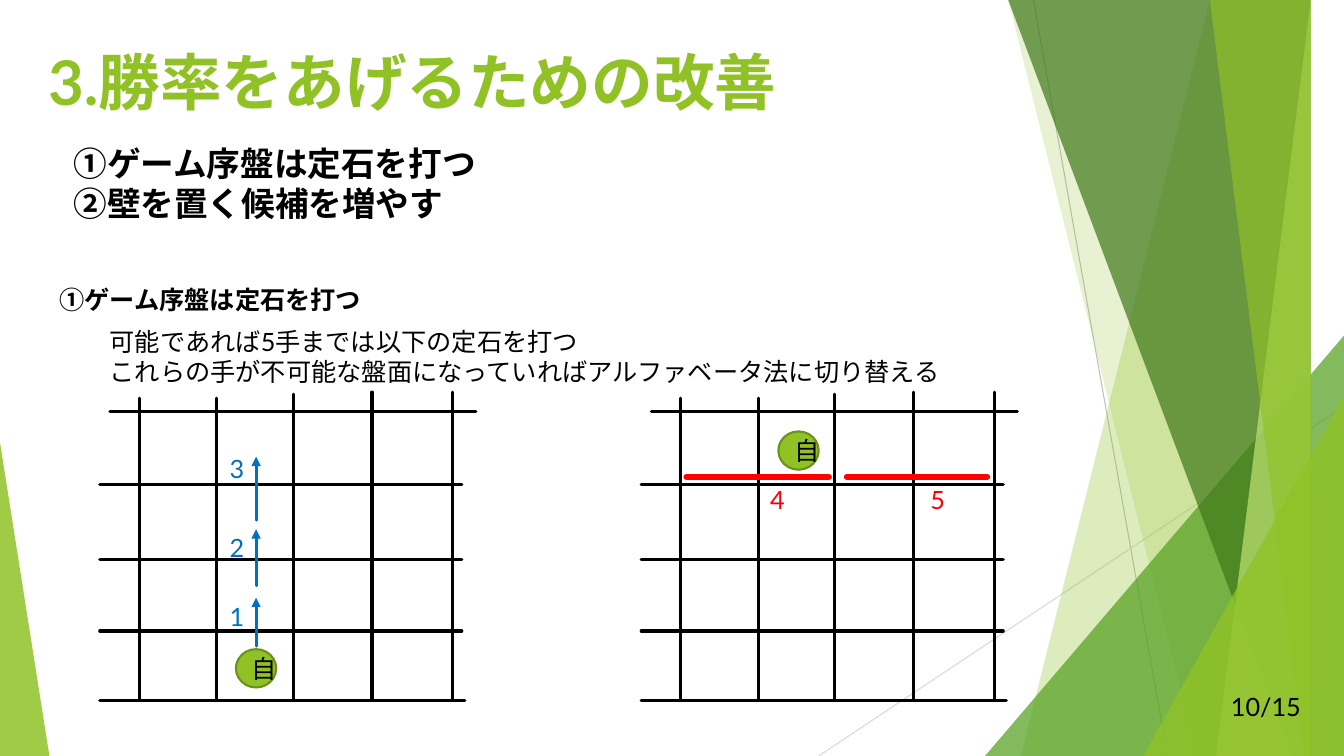
import lxml.etree
import pptx
import pptx.dml.color
import pptx.enum.lang
import pptx.enum.shapes
import pptx.enum.text
import pptx.oxml.ns
import pptx.util

Inches = pptx.util.Inches
RGBColor = pptx.dml.color.RGBColor
Shapes = pptx.enum.shapes.MSO_SHAPE
Align = pptx.enum.text.PP_ALIGN
Anchor = pptx.enum.text.MSO_ANCHOR
AutoSize = pptx.enum.text.MSO_AUTO_SIZE
qn = pptx.oxml.ns.qn

BLACK = RGBColor(0x00, 0x00, 0x00)
LIME = RGBColor(0x90, 0xC2, 0x26)
GREEN = RGBColor(0x54, 0xA0, 0x21)
DARK_GREEN = RGBColor(0x3F, 0x78, 0x19)
PALE_GREEN = RGBColor(0xC0, 0xE4, 0x74)
OLIVE = RGBColor(0x6B, 0x90, 0x1C)
RED = RGBColor(0xFF, 0x00, 0x00)
BLUE = RGBColor(0x00, 0x70, 0xC0)
GRAY = RGBColor(0xBF, 0xBF, 0xBF)
LIGHT_GRAY = RGBColor(0xD9, 0xD9, 0xD9)

WIDTH, HEIGHT = 13.33, 7.5
BOARD_TOP = 3.89


def write_text(shape, lines, size=18, color=BLACK, bold=False,
               align=None, space_before=None):
    font_values = {
        "name": "Lato",
        "size": pptx.util.Pt(size),
        "bold": bold,
        "language_id": pptx.enum.lang.MSO_LANGUAGE_ID.JAPANESE,
    }
    frame = shape.text_frame
    for index, line in enumerate(lines):
        paragraph = frame.add_paragraph() if index else frame.paragraphs[0]
        paragraph.alignment = align
        paragraph.space_before = space_before
        run = paragraph.add_run()
        run.text = line
        for name, value in font_values.items():
            setattr(run.font, name, value)
        run.font.color.rgb = color


def add_text(slide, box, lines, anchor=Anchor.TOP, auto_size=AutoSize.SHAPE_TO_FIT_TEXT,
             **text_format):
    shape = slide.shapes.add_textbox(*map(Inches, box))
    frame_values = {"word_wrap": True, "auto_size": auto_size, "vertical_anchor": anchor}
    for name, value in frame_values.items():
        setattr(shape.text_frame, name, value)
    write_text(shape, lines, **text_format)


def add_line(slide, start, end, color, width, arrow=False):
    line = slide.shapes.add_connector(
        pptx.enum.shapes.MSO_CONNECTOR.STRAIGHT, *map(Inches, (*start, *end)))
    line.line.color.rgb = color
    line.line.width = pptx.util.Pt(width)
    outline = line.line._get_or_add_ln()
    outline.set("cap", "rnd")
    if arrow:
        lxml.etree.SubElement(outline, qn("a:tailEnd"), type="triangle")
    lxml.etree.SubElement(line._element.spPr, qn("a:effectLst"))


def paint_facet(shape, color, opacity):
    shape.shadow.inherit = False
    shape.fill.solid()
    shape.fill.fore_color.rgb = color
    shape.line.fill.background()
    color_element = shape._element.spPr.find(".//" + qn("a:srgbClr"))
    lxml.etree.SubElement(color_element, qn("a:alpha"), val=str(opacity * 1000))


def add_band(slide, top_left, bottom_left, color, opacity):
    builder = slide.shapes.build_freeform(top_left, -0.01, scale=Inches(1))
    builder.add_line_segments(
        [(WIDTH, -0.01), (WIDTH, HEIGHT), (bottom_left, HEIGHT)], close=True)
    paint_facet(builder.convert_to_shape(), color, opacity)


def add_corner(slide, box, apex, color, opacity):
    triangle = slide.shapes.add_shape(Shapes.ISOSCELES_TRIANGLE, *map(Inches, box))
    triangle.adjustments[0] = apex
    paint_facet(triangle, color, opacity)


def add_backdrop(slide):
    add_line(slide, (10.25, 0), (11.58, HEIGHT), GRAY, 0.75)
    add_line(slide, (WIDTH, 4.03), (8.12, HEIGHT), LIGHT_GRAY, 0.75)
    add_band(slide, 12.28, 10.04, LIME, 30)
    add_band(slide, 10.5, 11.83, LIME, 20)
    add_corner(slide, (9.77, 3.33, 3.56, 4.17), 1, GREEN, 72)
    add_band(slide, 10.21, 12.91, DARK_GREEN, 70)
    add_band(slide, 13.03, 11.92, PALE_GREEN, 70)
    add_band(slide, 11.96, 13.18, LIME, 65)
    add_corner(slide, (11.34, 3.93, 1.99, 3.57), 1, LIME, 80)
    add_corner(slide, (0, 4.39, 0.49, 3.11), 0, LIME, 85)


def add_board(slide, left, top):
    columns = [(0.39, 0.06), (1.16, 0.06), (1.92, 0.02), (2.7, 0), (3.5, 0)]
    rows = [(0.19, 0.1, 3.73), (0.92, 0, 3.59), (1.66, 0, 3.59),
            (2.37, 0, 3.59), (3.06, 0, 3.62)]
    for x, start in columns:
        add_line(slide, (left + x, top + start), (left + x, top + 3.05), BLACK, 2.25)
    for y, start, end in rows:
        add_line(slide, (left + start, top + y), (left + end, top + y), BLACK, 2.25)


def add_pawn(slide, left, top):
    pawn = slide.shapes.add_shape(
        Shapes.OVAL, Inches(left), Inches(top), Inches(0.4), Inches(0.38))
    pawn.shadow.inherit = False
    pawn.fill.solid()
    pawn.fill.fore_color.rgb = LIME
    pawn.line.color.rgb = OLIVE
    pawn.line.width = pptx.util.Pt(1.5)
    pawn.text_frame.vertical_anchor = Anchor.MIDDLE
    write_text(pawn, ["自"], align=Align.CENTER)


def add_move_number(slide, left, top, number, color):
    add_text(slide, (left, top, 0.38, 0.4), [number], color=color)


def add_advance_board(slide, left, top):
    add_board(slide, left, top)
    add_pawn(slide, left + 1.35, top + 2.55)
    moves = [("1", 2.52, 2.04, 2.03), ("2", 1.92, 1.36, 1.34), ("3", 1.27, 0.64, 0.56)]
    for number, start, end, label_top in moves:
        add_line(slide, (left + 1.55, top + start), (left + 1.55, top + end),
                 BLUE, 2.25, arrow=True)
        add_move_number(slide, left + 1.19, top + label_top, number, BLUE)


def add_wall_board(slide, left, top):
    add_board(slide, left, top)
    add_pawn(slide, left + 1.36, top + 0.39)
    walls = [("4", 0.45, 1.86, 1.18), ("5", 2.04, 3.43, 2.77)]
    for number, start, end, label_left in walls:
        add_line(slide, (left + start, top + 0.84), (left + end, top + 0.84), RED, 4.5)
        add_move_number(slide, left + label_left, top + 0.87, number, RED)


def add_headings(slide):
    add_text(slide, (0.38, 0.39, 9.48, 0.8), ["3.勝率をあげるための改善"],
             auto_size=AutoSize.NONE, size=44, color=LIME, bold=True,
             space_before=pptx.util.Pt(10))
    add_text(slide, (0.63, 1.37, 7.35, 0.91),
             ["①ゲーム序盤は定石を打つ", "②壁を置く候補を増やす"], size=24, bold=True)
    add_text(slide, (0.49, 2.77, 5.19, 0.4), ["①ゲーム序盤は定石を打つ"], bold=True)
    add_text(slide, (0.99, 3.19, 9.11, 0.71),
             ["可能であれば5手までは以下の定石を打つ",
              "これらの手が不可能な盤面になっていればアルファベータ法に切り替える"])


def add_page_number(slide):
    add_text(slide, (12.03, 6.81, 0.97, 0.4), ["10/15"], anchor=Anchor.MIDDLE,
             auto_size=AutoSize.NONE, align=Align.RIGHT)


def main():
    presentation = pptx.Presentation()
    presentation.slide_width = Inches(WIDTH)
    presentation.slide_height = Inches(HEIGHT)
    slide = presentation.slides.add_slide(presentation.slide_layouts[6])
    add_backdrop(slide)
    add_headings(slide)
    add_advance_board(slide, 0.99, BOARD_TOP)
    add_wall_board(slide, 6.36, BOARD_TOP)
    add_page_number(slide)
    presentation.save("out.pptx")


if __name__ == "__main__":
    main()
